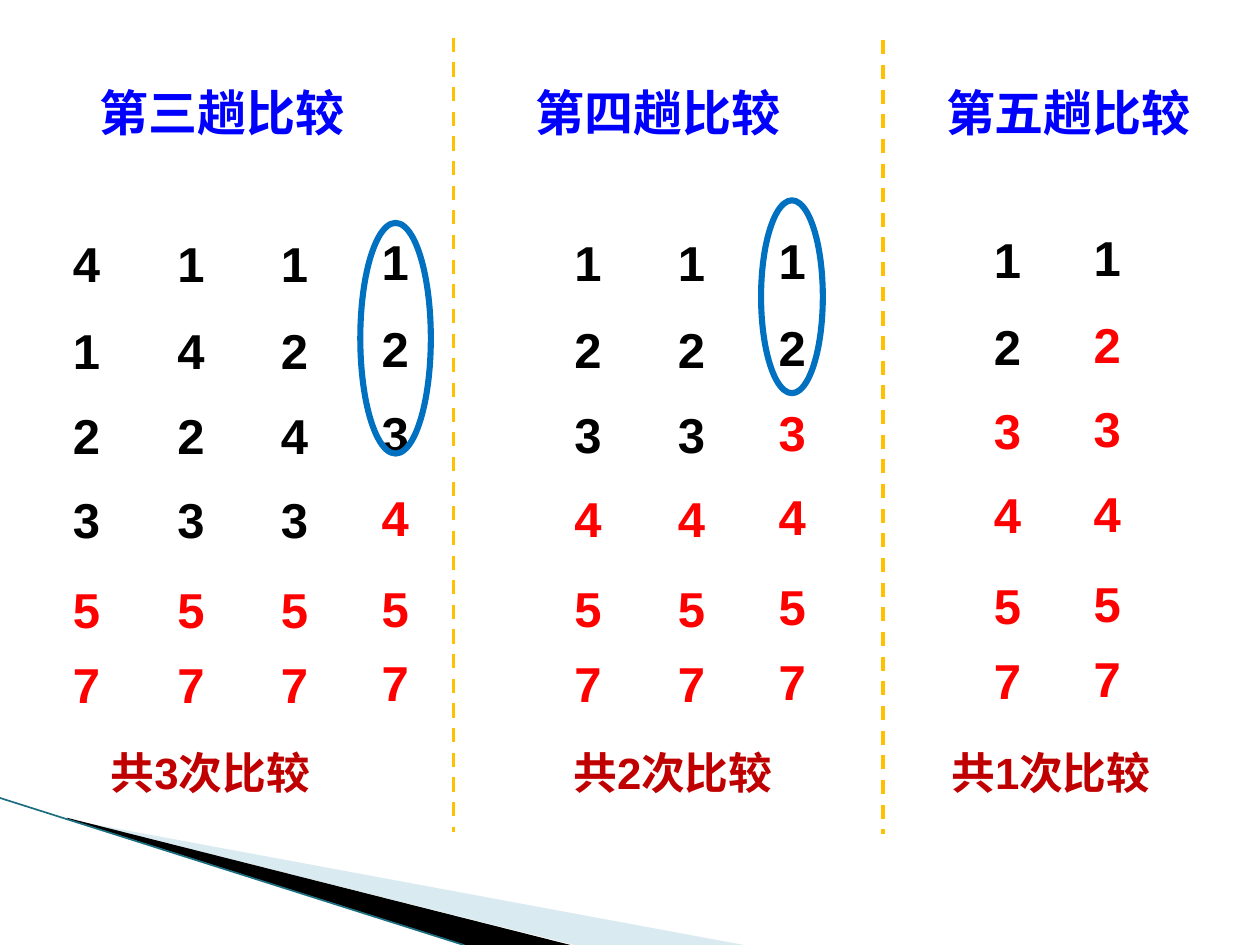
from lxml.etree import SubElement
from pptx import Presentation
from pptx.dml.color import RGBColor
from pptx.enum.dml import MSO_LINE_DASH_STYLE as Dash
from pptx.enum.shapes import MSO_CONNECTOR as Connector, MSO_SHAPE as Shape
from pptx.enum.text import MSO_ANCHOR as Anchor, PP_ALIGN as Align
from pptx.oxml.ns import qn
from pptx.util import Pt

CJK_FONT = "Noto Sans CJK SC"
BLACK, RED, BLUE = "000000", "FF0000", "0070C0"
HEADING = {"size": Pt(28), "name": CJK_FONT, "bold": True}
DIGIT = {"size": Pt(28), "name": "Arial", "bold": True}
SUMMARY = {"size": Pt(25), "name": "Arial", "bold": True}

PASSES = [
    {"heading": ("第三趟比较", 49.7), "summary": ("共3次比较", 55.4),
     "columns": [(34.6, 129.6, "412357", 4), (94.3, 129.6, "142357", 4),
                 (153.4, 129.6, "124357", 4), (211, 128.7, "123457", 3)]},
    {"heading": ("第四趟比较", 298.8), "summary": ("共2次比较", 319.7),
     "columns": [(321.1, 129, "123457", 3), (380.2, 129, "123457", 3),
                 (437.8, 128, "123457", 2)]},
    {"heading": ("第五趟比较", 533.5), "summary": ("共1次比较", 535.7),
     "columns": [(560.9, 127.1, "123457", 2), (617.8, 126, "123457", 1)]},
]
ROW_OFFSETS = [0, 49.7, 98.2, 146.2, 197.8, 240.6]
DIVIDERS = [(259.2, 21.6), (504.7, 23)]
DIVIDER_HEIGHT = 453.6
SORTED_RINGS = [(205.9, 127.4, 40.3, 131.8), (434.9, 114.5, 35.3, 110.2)]
SWOOSHES = [
    ("A0CBDC", 40, [(39.6, 468.5), (425, 540), (328.3, 540), (39.6, 468)]),
    (BLACK, 100, [(38.2, 467.3), (326, 540), (266, 540), (38.9, 468)]),
]
SWOOSH_EDGE = (0, 456, 265, 540)


def color(value):
    return RGBColor.from_string(value)


def add_line(shapes, start_x, start_y, end_x, end_y, line_color, width):
    line = shapes.add_connector(Connector.STRAIGHT, Pt(start_x), Pt(start_y),
                                Pt(end_x), Pt(end_y))
    line.line.color.rgb = color(line_color)
    line.line.width = Pt(width)
    SubElement(line._element.spPr, qn("a:effectLst"))
    return line


def write(shape, text, style, text_color, anchor, inset=7.2):
    frame = shape.text_frame
    settings = {"word_wrap": True, "vertical_anchor": anchor,
                "margin_left": Pt(inset), "margin_right": Pt(inset),
                "margin_top": Pt(3.6), "margin_bottom": Pt(3.6)}
    for name, value in settings.items():
        setattr(frame, name, value)
    paragraph = frame.paragraphs[0]
    paragraph.alignment = Align.LEFT
    run = paragraph.add_run()
    run.text = text
    for name, value in style.items():
        setattr(run.font, name, value)
    run.font.color.rgb = color(text_color)
    SubElement(run._r.get_or_add_rPr(), qn("a:ea"), typeface=CJK_FONT)


def add_text(shapes, left, top, width, height, *content):
    box = shapes.add_textbox(Pt(left), Pt(top), Pt(width), Pt(height))
    write(box, *content)


def add_swoosh(shapes, fill_color, opacity, points):
    builder = shapes.build_freeform(Pt(points[0][0]), Pt(points[0][1]))
    builder.add_line_segments([(Pt(x), Pt(y)) for x, y in points[1:]])
    swoosh = builder.convert_to_shape()
    swoosh.shadow.inherit = False
    swoosh.line.fill.background()
    swoosh.fill.solid()
    swoosh.fill.fore_color.rgb = color(fill_color)
    if opacity < 100:
        solid = swoosh._element.spPr.find(qn("a:solidFill"))
        SubElement(solid[0], qn("a:alpha"), val=str(opacity * 1000))


def add_column(shapes, left, top, digits, unsorted_count):
    group = shapes.add_group_shape()
    for row, (digit, offset) in enumerate(zip(digits, ROW_OFFSETS)):
        digit_color = BLACK if row < unsorted_count else RED
        add_text(group.shapes, left, top + offset, 30.2, 41,
                 digit, DIGIT, digit_color, Anchor.BOTTOM)


def add_summary(shapes, text, left):
    panel = shapes.add_shape(Shape.RECTANGLE, Pt(left), Pt(422), Pt(143.3), Pt(38.9))
    panel.shadow.inherit = False
    panel.fill.solid()
    panel.fill.fore_color.rgb = color("FFFFFF")
    panel.line.fill.background()
    write(panel, text, SUMMARY, "C00000", Anchor.MIDDLE, 7.9)


def main():
    presentation = Presentation()
    presentation.slide_width, presentation.slide_height = Pt(720), Pt(540)
    slide = presentation.slides.add_slide(presentation.slide_layouts[6])
    shapes = slide.shapes

    for swoosh in SWOOSHES:
        add_swoosh(shapes, *swoosh)
    add_line(shapes, *SWOOSH_EDGE, "1B6E80", 0.95)

    for sort_pass in PASSES:
        heading, left = sort_pass["heading"]
        add_text(shapes, left, 43.2, 169.2, 41, heading, HEADING, "0000FF", Anchor.MIDDLE)
        for column in sort_pass["columns"]:
            add_column(shapes, *column)
        add_summary(shapes, *sort_pass["summary"])

    for x, top in DIVIDERS:
        divider = add_line(shapes, x, top, x, top + DIVIDER_HEIGHT, "FFC000", 2)
        divider.line.dash_style = Dash.DASH

    for bounds in SORTED_RINGS:
        ring = shapes.add_shape(Shape.OVAL, *map(Pt, bounds))
        ring.shadow.inherit = False
        ring.fill.background()
        ring.line.color.rgb = color(BLUE)
        ring.line.width = Pt(3.5)

    presentation.save("out.pptx")


if __name__ == "__main__":
    main()
